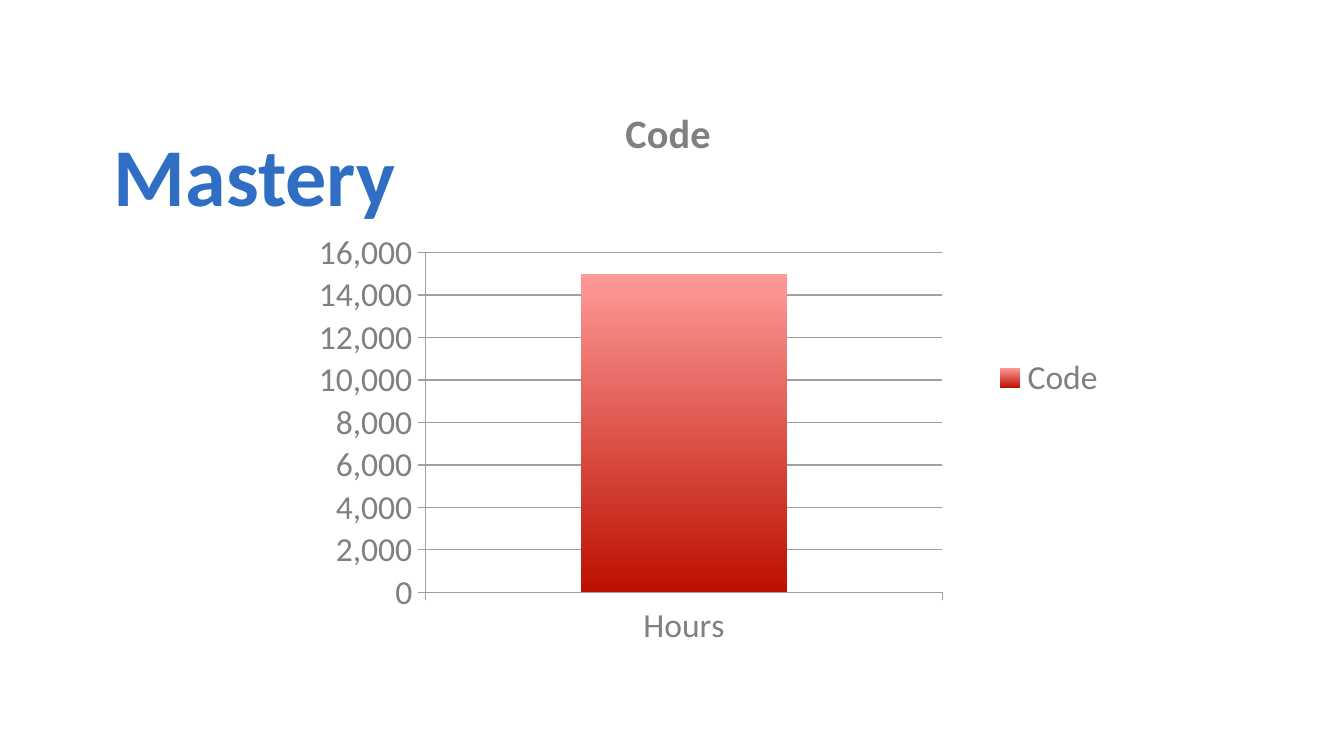
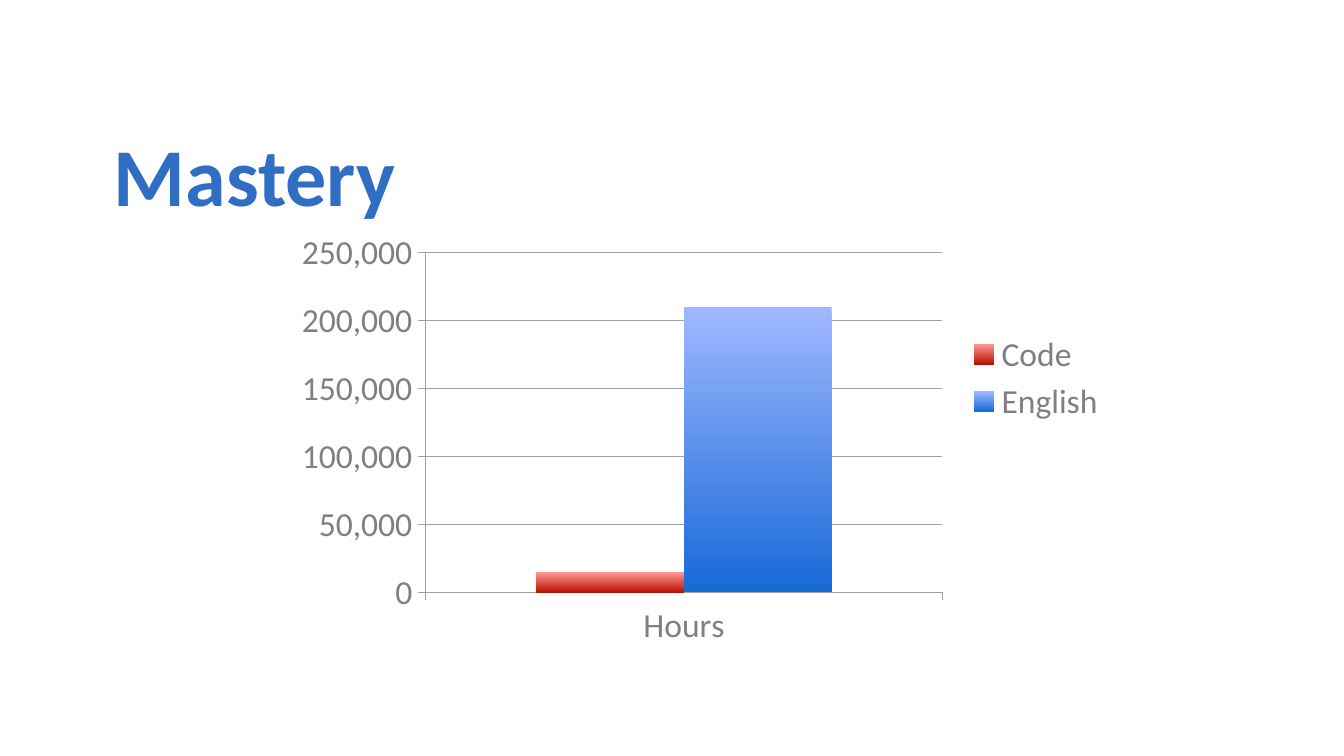
import dataclasses
import typing

import pptx
import pptx.chart.data
import pptx.dml.color
import pptx.enum.chart
import pptx.enum.text
import pptx.oxml
import pptx.oxml.ns
import pptx.util

Inches = pptx.util.Inches
Pt = pptx.util.Pt
RGB = pptx.dml.color.RGBColor.from_string


@dataclasses.dataclass(frozen=True)
class Theme:
    font: str = "Calibri"
    paper: str = "FFFFFF"
    title: str = "2F6EC3"
    label: str = "808080"
    line: str = "A0A0A0"
    title_size: float = 44
    chart_size: float = 21.6
    label_size: float = 18
    line_width: float = 0.75


@dataclasses.dataclass(frozen=True)
class Series:
    name: str
    hours: int
    top: str
    base: str


THEME = Theme()
CODE = Series("Code", 15000, "FF9A97", "BC1000")
ENGLISH = Series("English", 210000, "9FB8FF", "1769D8")
SLIDES = [[CODE], [CODE, ENGLISH]]


def style_font(font: typing.Any, size: float, color: str, bold: bool) -> None:
    font.name = THEME.font
    font.size = Pt(size)
    font.bold = bold
    font.color.rgb = RGB(color)


def set_layout(parent: typing.Any, index: int, target: str = "", **place: float) -> None:
    """Fix a chart part at fractions of the chart area."""
    old = parent.find(pptx.oxml.ns.qn("c:layout"))
    if old is not None:
        parent.remove(old)
    values = {"layoutTarget": target} if target else {}
    values |= {"xMode": "edge", "yMode": "edge", **place}
    parts = "".join(f'<c:{key} val="{val}"/>' for key, val in values.items())
    parent.insert(index, pptx.oxml.parse_xml(
        f'<c:layout {pptx.oxml.ns.nsdecls("c")}>'
        f"<c:manualLayout>{parts}</c:manualLayout></c:layout>"))


def style_line(line: typing.Any) -> None:
    line.color.rgb = RGB(THEME.line)
    line.width = Pt(THEME.line_width)


def add_title(slide: typing.Any, text: str) -> None:
    box = slide.shapes.add_textbox(Inches(0.75), Inches(0.84), Inches(8.5), Inches(0.91))
    frame = box.text_frame
    frame.word_wrap = True
    frame.vertical_anchor = pptx.enum.text.MSO_ANCHOR.MIDDLE
    run = frame.paragraphs[0].add_run()
    run.text = text
    style_font(run.font, THEME.title_size, THEME.title, True)


def add_chart(slide: typing.Any, series: list[Series]) -> None:
    data = pptx.chart.data.CategoryChartData(number_format="#,##0")
    data.categories = ["Hours"]
    for item in series:
        data.add_series(item.name, [item.hours])
    chart = slide.shapes.add_chart(
        pptx.enum.chart.XL_CHART_TYPE.COLUMN_CLUSTERED,
        Inches(5 / 3), Inches(0.59), Inches(20 / 3), Inches(40 / 9), data).chart
    style_font(chart.font, THEME.label_size, THEME.label, False)

    # Chart title, only for a single series
    chart.has_title = len(series) == 1
    if chart.has_title:
        title = chart.chart_title
        run = title.text_frame.paragraphs[0].add_run()
        run.text = series[0].name
        style_font(run.font, THEME.chart_size, THEME.label, True)
        set_layout(title._element, 1, x=0.44, y=0.03)

    # Legend and plot area
    chart.has_legend = True
    chart.legend.position = pptx.enum.chart.XL_LEGEND_POSITION.RIGHT
    chart.legend.include_in_layout = False
    style_font(chart.legend.font, THEME.label_size, THEME.label, False)
    set_layout(chart._chartSpace.chart.plotArea, 0, "inner",
               x=0.225, y=0.29, w=0.577, h=0.569)

    # Axes
    for axis in (chart.category_axis, chart.value_axis):
        axis.major_tick_mark = pptx.enum.chart.XL_TICK_MARK.OUTSIDE
        axis.minor_tick_mark = pptx.enum.chart.XL_TICK_MARK.NONE
        style_font(axis.tick_labels.font, THEME.label_size, THEME.label, False)
        style_line(axis.format.line)
    chart.value_axis.has_major_gridlines = True
    style_line(chart.value_axis.major_gridlines.format.line)
    labels = chart.value_axis.tick_labels
    labels.number_format = "#,##0"
    labels.number_format_is_linked = False

    # Columns
    plot = chart.plots[0]
    plot.gap_width = 150
    plot.overlap = 0
    plot.vary_by_categories = False
    for bar, item in zip(plot.series, series):
        fill = bar.format.fill
        fill.gradient()
        fill.gradient_angle = 270
        for stop, color in zip(fill.gradient_stops, (item.top, item.base)):
            stop.color.rgb = RGB(color)


def main() -> None:
    deck = pptx.Presentation()
    deck.slide_width = Inches(10)
    # Widescreen, 16 to 9
    deck.slide_height = deck.slide_width * 9 // 16
    for series in SLIDES:
        slide = deck.slides.add_slide(deck.slide_layouts[6])
        back = slide.background.fill
        back.solid()
        back.fore_color.rgb = RGB(THEME.paper)
        add_title(slide, "Mastery")
        add_chart(slide, series)
    deck.save("out.pptx")


if __name__ == "__main__":
    main()
